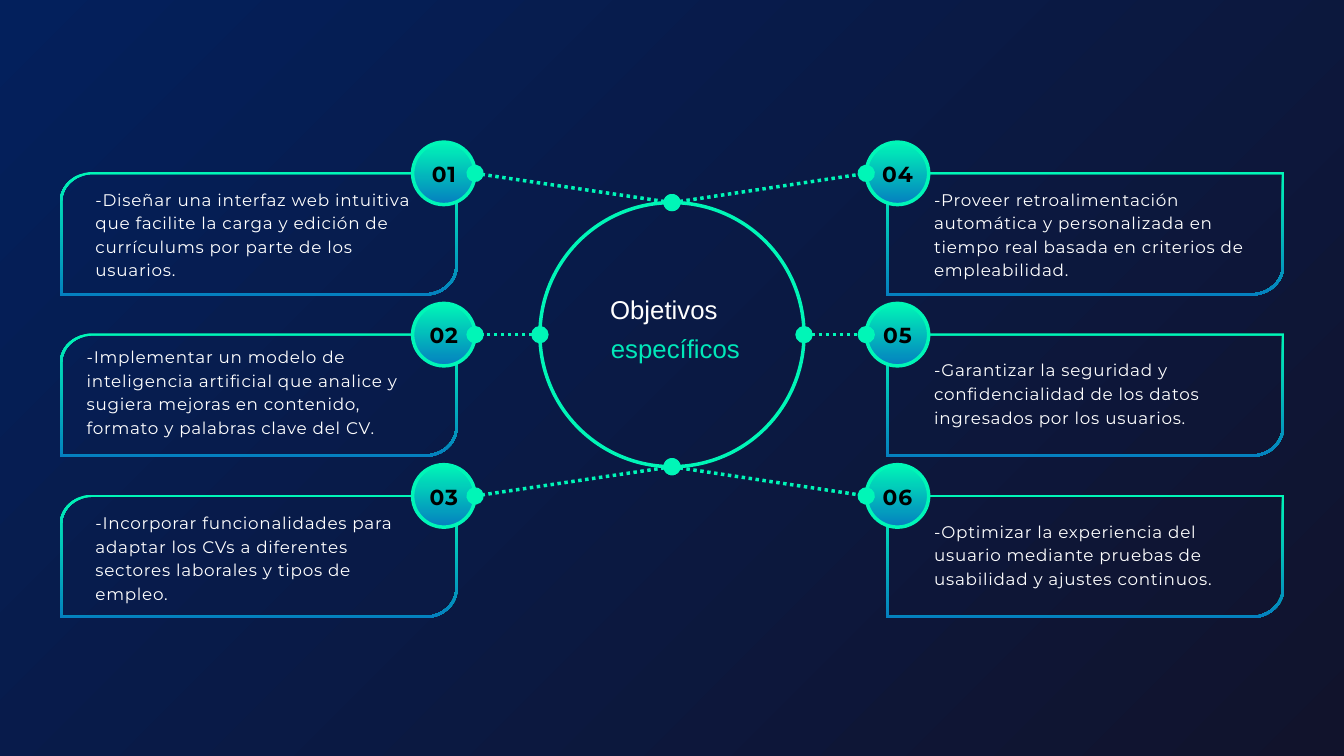
import math

import lxml.etree
import pptx
import pptx.dml.color
import pptx.enum.shapes
import pptx.enum.dml
import pptx.enum.text
import pptx.oxml.ns
import pptx.util

Inches = pptx.util.Inches
Pt = pptx.util.Pt
RGBColor = pptx.dml.color.RGBColor
qn = pptx.oxml.ns.qn

NAVY = RGBColor(0x03, 0x20, 0x5C)
MIDNIGHT = RGBColor(0x11, 0x13, 0x2C)
MINT = RGBColor(0x00, 0xF6, 0xB7)
BLUE = RGBColor(0x05, 0x7F, 0xC0)
TEAL = RGBColor(0x01, 0xE8, 0xB9)
WHITE = RGBColor(0xFF, 0xFF, 0xFF)
BLACK = RGBColor(0x00, 0x00, 0x00)

CENTER_X, CENTER_Y, RADIUS = 10, 4.98, 1.965
ROW_PITCH = 2.4
FRAME_W, FRAME_H, FRAME_LINE = 5.92, 1.84, 0.035
BADGE = 0.93

# Badge left, frame left, badge edge facing the circle, direction from the circle
SIDES = [(6.14, 0.89, 7.07, -1), (12.89, 13.19, 12.89, 1)]
# Text, its left, and its drop below the row line; left column first
OBJECTIVES = [
    ("-Diseñar una interfaz web intuitiva que facilite la carga y edición de "
     "currículums por parte de los usuarios.", 1.42, 0.19),
    ("-Implementar un modelo de inteligencia artificial que analice y sugiera "
     "mejoras en contenido, formato y palabras clave del CV.", 1.29, 0.13),
    ("-Incorporar funcionalidades para adaptar los CVs a diferentes sectores "
     "laborales y tipos de empleo.", 1.42, 0.2),
    ("-Proveer retroalimentación automática y personalizada en tiempo real "
     "basada en criterios de empleabilidad.", 13.9, 0.19),
    ("-Garantizar la seguridad y confidencialidad de los datos ingresados por "
     "los usuarios.", 13.9, 0.33),
    ("-Optimizar la experiencia del usuario mediante pruebas de usabilidad y "
     "ajustes continuos.", 13.9, 0.33),
]

prs = pptx.Presentation()
prs.slide_width, prs.slide_height = Inches(20), Inches(11.25)
slide = prs.slides.add_slide(prs.slide_layouts[6])
shapes = slide.shapes


def add_text(text, left, top, width, height, *, size, color, spacing, font="Montserrat",
             bold=False, tracking=0, align="LEFT", anchor="TOP"):
    frame = shapes.add_textbox(Inches(left), Inches(top), Inches(width), Inches(height)).text_frame
    frame.word_wrap = True
    frame.margin_left = frame.margin_right = frame.margin_top = frame.margin_bottom = 0
    frame.vertical_anchor = getattr(pptx.enum.text.MSO_ANCHOR, anchor)
    paragraph = frame.paragraphs[0]
    paragraph.alignment = getattr(pptx.enum.text.PP_ALIGN, align)
    paragraph.line_spacing = Pt(spacing)
    run = paragraph.add_run()
    run.text = text
    run.font.name, run.font.size, run.font.bold = font, Pt(size), bold
    run.font.color.rgb = color
    if tracking:
        run.font._element.set("spc", str(round(tracking * 100)))


def frame_outline(left, top, inset):
    """Points of a box with its top left and bottom right corners rounded."""
    x1, y1 = left + inset, top + inset
    x2, y2 = left + FRAME_W - inset, top + FRAME_H - inset
    rx, ry = 0.49 - inset, 0.44 - inset
    turns = [math.radians(step * 7.5) for step in range(13)]
    top_left = [(x1 + rx - rx * math.cos(a), y1 + ry - ry * math.sin(a)) for a in turns]
    bottom_right = [(x2 - rx + rx * math.cos(a), y2 - ry + ry * math.sin(a)) for a in turns]
    return [(Inches(x), Inches(y)) for x, y in top_left + [(x2, y1)] + bottom_right + [(x1, y2)]]


# Background: radial gradient spreading from the top left corner
backdrop = slide.background.fill
backdrop.gradient()
for stop, color in zip(backdrop.gradient_stops, (NAVY, MIDNIGHT)):
    stop.color.rgb = color
linear = slide.background._cSld.find(".//" + qn("a:lin"))
radial = lxml.etree.Element(qn("a:path"))
radial.set("path", "circle")
lxml.etree.SubElement(radial, qn("a:fillToRect")).set("r", "100000")
radial[0].set("b", "100000")
linear.getparent().replace(linear, radial)

# Central circle
hub = shapes.add_shape(pptx.enum.shapes.MSO_SHAPE.OVAL, Inches(CENTER_X - RADIUS),
                       Inches(CENTER_Y - RADIUS), Inches(2 * RADIUS), Inches(2 * RADIUS))
hub.shadow.inherit = False
hub.fill.background()
hub.line.color.rgb, hub.line.width = MINT, Pt(3.75)
add_text("Objetivos", 9.08, 4.29, 2.04, 0.69, size=27.6, color=WHITE, spacing=38.6, font="Arial")
add_text("específicos", 8.58, 4.88, 2.94, 0.69, size=27.6, color=TEAL, spacing=38.6,
         font="Arial", align="CENTER")

for index, (objective, text_left, text_drop) in enumerate(OBJECTIVES):
    column, row = divmod(index, 3)
    badge_left, frame_left, badge_edge, direction = SIDES[column]
    row_y = CENTER_Y + (row - 1) * ROW_PITCH

    # The frame is a ring, so that its gradient runs along the border
    outer = frame_outline(frame_left, row_y - 0.02, 0)
    inner = frame_outline(frame_left, row_y - 0.02, FRAME_LINE)[::-1]
    builder = shapes.build_freeform(*outer[0])
    builder.add_line_segments(outer[1:])
    builder.move_to(*inner[0])
    builder.add_line_segments(inner[1:])
    border = builder.convert_to_shape()
    border.line.fill.background()
    add_text(objective, text_left, row_y + text_drop, 4.85, 1.71, size=18, color=WHITE,
             spacing=25.2, tracking=0.8)

    badge = shapes.add_shape(pptx.enum.shapes.MSO_SHAPE.OVAL, Inches(badge_left),
                             Inches(row_y - BADGE / 2), Inches(BADGE), Inches(BADGE))
    badge.line.color.rgb, badge.line.width = MINT, Pt(3.75)
    for part in (border, badge):
        part.shadow.inherit = False
        part.fill.gradient()
        part.fill.gradient_angle = 270
        for stop, color in zip(part.fill.gradient_stops, (MINT, BLUE)):
            stop.color.rgb = color
    add_text(f"{index + 1:02}", badge_left + 0.09, row_y - 0.43, 0.75, 0.81, size=23.3,
             color=BLACK, spacing=32.7, bold=True, tracking=1, align="CENTER", anchor="MIDDLE")

    # Dotted link from the circle's top, side or bottom to the badge
    start_x = CENTER_X + direction * RADIUS if row == 1 else CENTER_X
    start_y = CENTER_Y + (row - 1) * RADIUS
    link = shapes.add_connector(pptx.enum.shapes.MSO_CONNECTOR.STRAIGHT, Inches(start_x),
                                Inches(start_y), Inches(badge_edge), Inches(row_y))
    link.line.color.rgb, link.line.width = MINT, Pt(3.75)
    link.line.dash_style = pptx.enum.dml.MSO_LINE.ROUND_DOT
    for end in ("a:headEnd", "a:tailEnd"):
        tip = lxml.etree.SubElement(link.line._get_or_add_ln(), qn(end))
        for key, value in (("type", "oval"), ("w", "lg"), ("len", "lg")):
            tip.set(key, value)
    lxml.etree.SubElement(link._element.spPr, qn("a:effectLst"))

prs.save("out.pptx")
